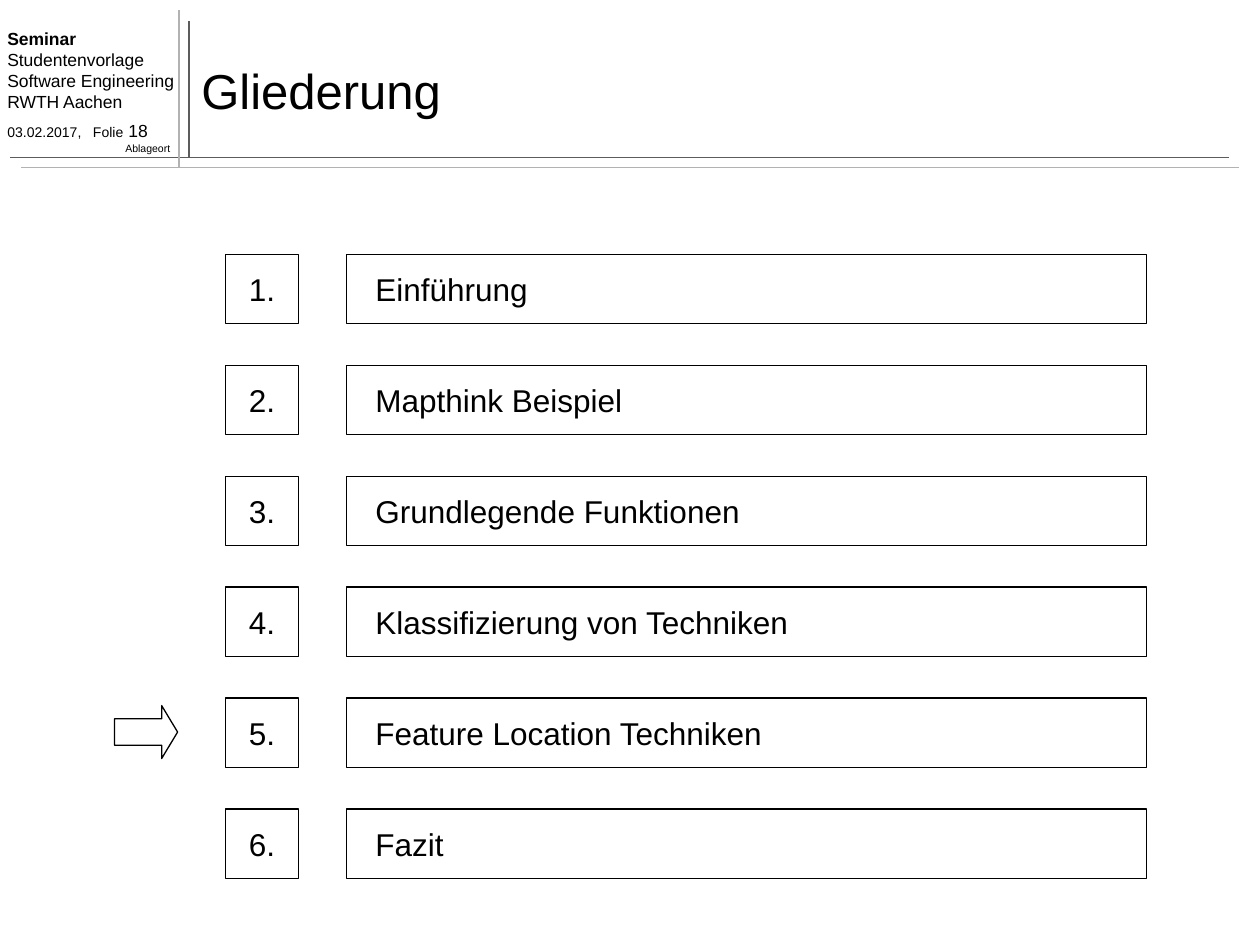
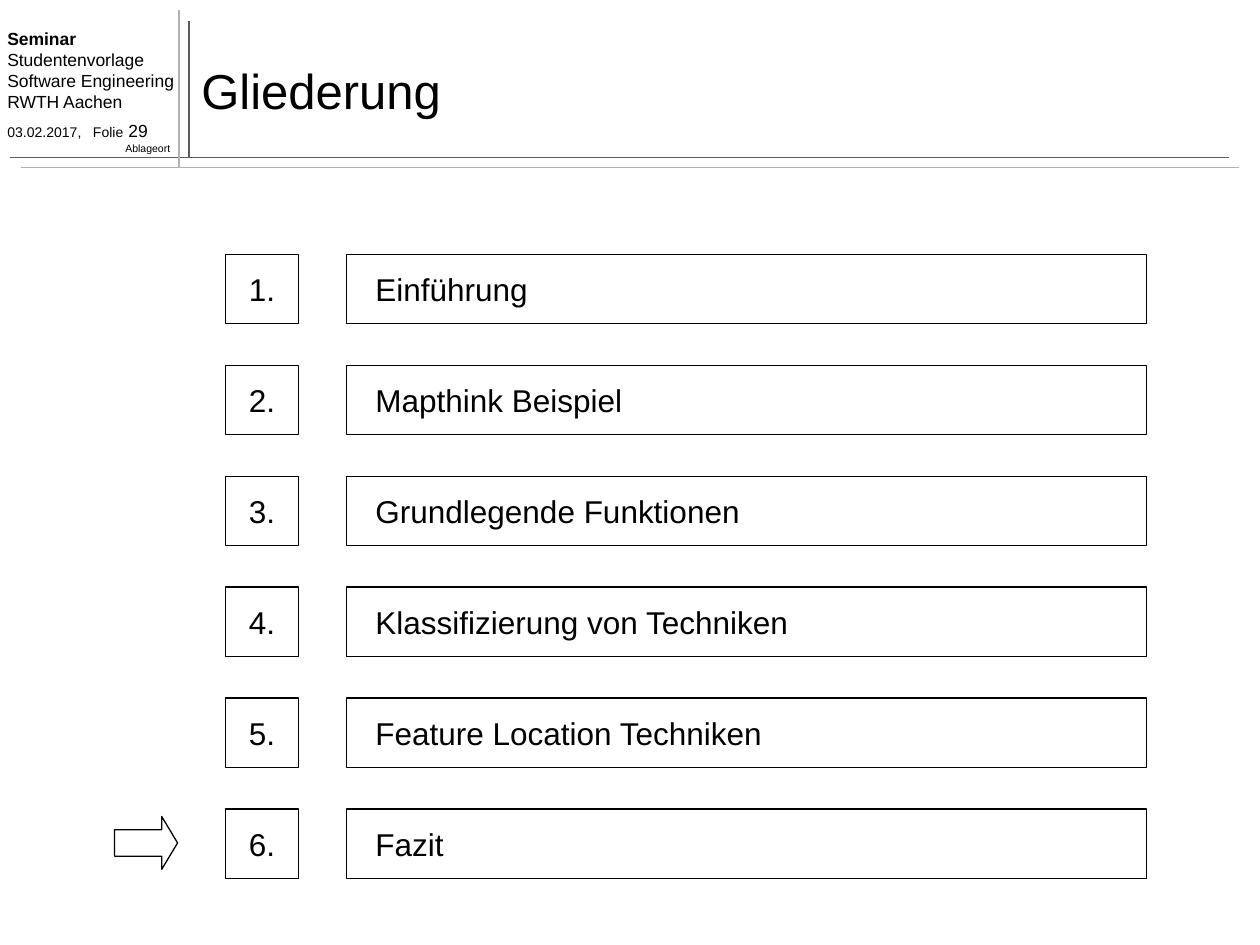
from dataclasses import dataclass
from typing import Any, NamedTuple

from lxml import etree
from pptx import Presentation
from pptx.dml.color import RGBColor
from pptx.enum.shapes import MSO_CONNECTOR, MSO_SHAPE
from pptx.enum.text import MSO_ANCHOR, PP_ALIGN
from pptx.oxml.ns import qn
from pptx.util import Inches, Pt

STRAIGHT = MSO_CONNECTOR.STRAIGHT
RECT = MSO_SHAPE.RECTANGLE
ARROW = MSO_SHAPE.RIGHT_ARROW
TOP, MIDDLE = MSO_ANCHOR.TOP, MSO_ANCHOR.MIDDLE
LEFT, CENTER, RIGHT = PP_ALIGN.LEFT, PP_ALIGN.CENTER, PP_ALIGN.RIGHT


@dataclass(frozen=True)
class Theme:
    font: str = "Arial"
    ink: RGBColor = RGBColor(0, 0, 0)
    dark: RGBColor = RGBColor(0x5C, 0x5C, 0x5C)
    light: RGBColor = RGBColor(0xB2, 0xB2, 0xB2)
    title: float = 28
    item: float = 18
    head: float = 10
    date: float = 8
    place: float = 6
    rule: float = 1
    edge: float = 0.75


class Box(NamedTuple):
    left: float
    top: float
    width: float
    height: float


class Rule(NamedTuple):
    start: tuple[float, float]
    end: tuple[float, float]
    color: RGBColor


class Page(NamedTuple):
    number: int
    active: int


THEME = Theme()
RULES = [
    Rule((1.5, 1.25), (1.5, 0.17), THEME.dark),
    Rule((0.08, 1.25), (9.75, 1.25), THEME.dark),
    Rule((0.17, 1.33), (9.83, 1.33), THEME.light),
    Rule((1.42, 1.33), (1.42, 0.08), THEME.light),
]
HEAD = ["Seminar", "Studentenvorlage", "Software Engineering", "RWTH Aachen"]
TOPICS = [
    "Einführung",
    "Mapthink Beispiel",
    "Grundlegende Funktionen",
    "Klassifizierung von Techniken",
    "Feature Location Techniken",
    "Fazit",
]
PAGES = [Page(18, 5), Page(29, 6)]
FIRST_TOP = 2.02
ROW_STEP = 0.88
ROW_HEIGHT = 0.55


def apply(target: Any, **values: Any) -> None:
    for name, value in values.items():
        setattr(target, name, value)


def place(box: Box) -> list[int]:
    return [Inches(value) for value in box]


def add_run(para: Any, text: str, size: float, bold: bool = False) -> None:
    run = para.add_run()
    run.text = text
    apply(run.font, name=THEME.font, size=Pt(size), bold=bold)
    run.font.color.rgb = THEME.ink


def add_text(shapes: Any, box: Box, anchor: MSO_ANCHOR, wrap: bool = True) -> Any:
    frame = shapes.add_textbox(*place(box)).text_frame
    apply(frame, word_wrap=wrap, vertical_anchor=anchor)
    return frame


def add_rule(shapes: Any, rule: Rule) -> None:
    ends = [Inches(value) for value in rule.start + rule.end]
    line = shapes.add_connector(STRAIGHT, *ends)
    line.line.color.rgb = rule.color
    line.line.width = Pt(THEME.rule)
    etree.SubElement(line._element.spPr, qn("a:effectLst"))


def add_shape(shapes: Any, kind: MSO_SHAPE, box: Box) -> Any:
    shape = shapes.add_shape(kind, *place(box))
    shape.shadow.inherit = False
    shape.fill.background()
    shape.line.color.rgb = THEME.ink
    shape.line.width = Pt(THEME.edge)
    return shape


def add_cell(shapes: Any, box: Box, text: str, align: PP_ALIGN, inset: float) -> None:
    frame = add_shape(shapes, RECT, box).text_frame
    apply(frame, word_wrap=True, vertical_anchor=MIDDLE,
          margin_left=Inches(inset), margin_right=Inches(inset))
    para = frame.paragraphs[0]
    para.alignment = align
    add_run(para, text, THEME.item)


def add_row(slide: Any, number: int, topic: str, active: bool) -> None:
    top = FIRST_TOP + (number - 1) * ROW_STEP
    row = slide.shapes.add_group_shape().shapes
    add_cell(row, Box(2.75, top, 6.35, ROW_HEIGHT), topic, LEFT, 0.23)
    add_cell(row, Box(1.79, top, 0.58, ROW_HEIGHT), f"{number}.", CENTER, 0.05)
    if active:
        arrow = add_shape(row, ARROW, Box(0.91, top + 0.06, 0.5, 0.42))
        arrow.adjustments[0] = 0.5
        arrow.adjustments[1] = 0.3


def add_head(slide: Any, number: int) -> None:
    for rule in RULES:
        add_rule(slide.shapes, rule)

    frame = add_text(slide.shapes, Box(-0.04, 0.17, 1.54, 1.03), TOP)
    para = frame.paragraphs[0]
    for index, text in enumerate(HEAD):
        add_run(para, text, THEME.head, bold=index == 0)
        para = frame.add_paragraph()
    para.space_before = Pt(5)
    tabs = etree.SubElement(para._p.get_or_add_pPr(), qn("a:tabLst"))
    etree.SubElement(tabs, qn("a:tab"), pos=str(Inches(0.68)), algn="l")
    add_run(para, "03.02.2017,\tFolie", THEME.date)
    add_run(para, f" {number}", THEME.head)

    para = add_text(slide.shapes, Box(0.89, 1.08, 0.56, 0.2), TOP, False).paragraphs[0]
    para.alignment = RIGHT
    add_run(para, "Ablageort", THEME.place)

    title = add_text(slide.shapes, Box(1.5, 0.25, 8.33, 0.92), MIDDLE)
    add_run(title.paragraphs[0], "Gliederung", THEME.title)


def main() -> None:
    deck = Presentation()
    apply(deck, slide_width=Inches(10), slide_height=Inches(7.5))
    for page in PAGES:
        slide = deck.slides.add_slide(deck.slide_layouts[6])
        add_head(slide, page.number)
        for number, topic in enumerate(TOPICS, start=1):
            add_row(slide, number, topic, number == page.active)
    deck.save("out.pptx")


if __name__ == "__main__":
    main()
